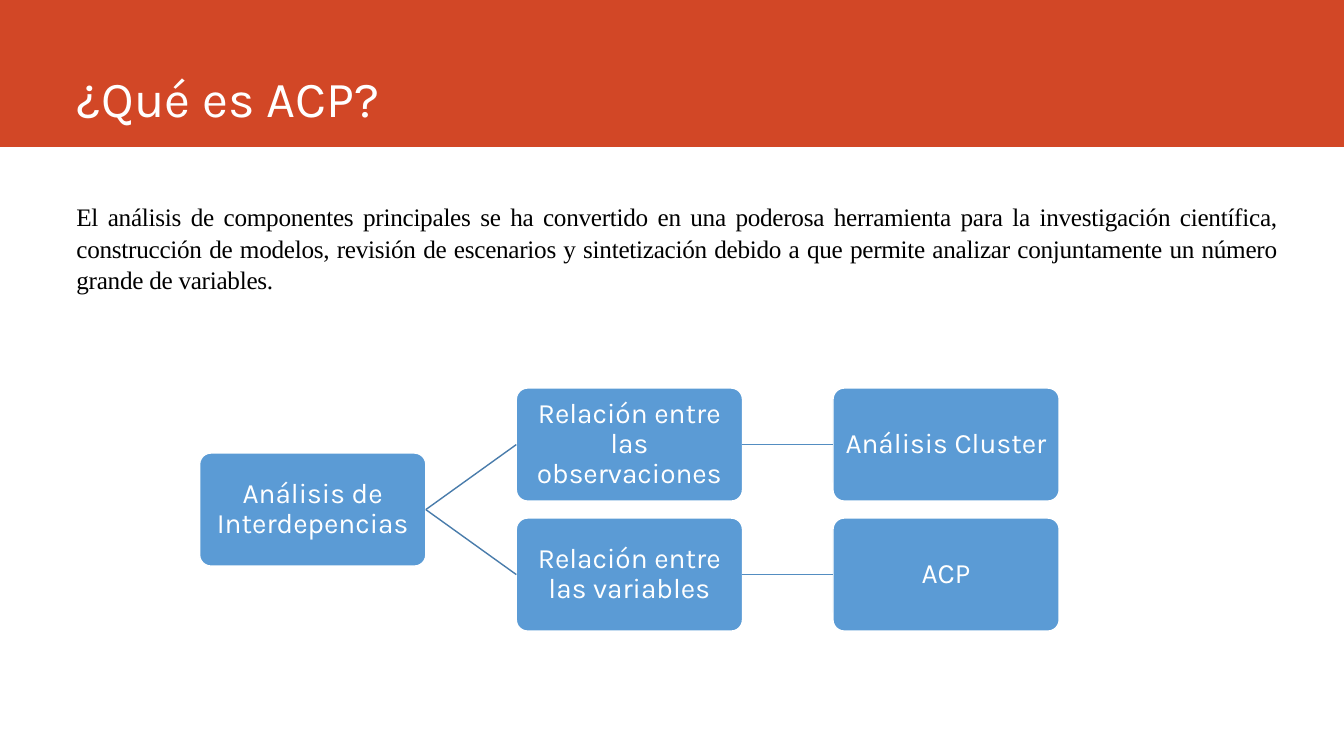
from pptx import Presentation, util as u
from pptx.dml.color import RGBColor
from pptx.enum import shapes, text
from pptx.oxml.ns import qn
from lxml import etree

HUES = {"band": "D24726", "box": "5B9BD5", "white": "FFFFFF",
        "black": "000000", "fork": "497CAB", "link": "538DC1"}
INTRO = ("El análisis de componentes principales se ha convertido en una "
         "poderosa herramienta para la investigación científica, construcción "
         "de modelos, revisión de escenarios y sintetización debido a que "
         "permite analizar conjuntamente un número grande de variables.")
ROOT = "Análisis de Interdepencias"
ROWS = [("Relación entre las observaciones", "Análisis Cluster"),
        ("Relación entre las variables", "ACP")]


def hue(name):
    """Return a named colour."""
    return RGBColor.from_string(HUES[name])


def pts(*nums):
    """Turn numbers into lengths in points."""
    return [u.Pt(n) for n in nums]


def block(slide, kind, box, fill):
    """Add a flat filled shape without a line."""
    shape = slide.shapes.add_shape(kind, *pts(*box))
    shape.shadow.inherit = False
    shape.fill.solid()
    shape.fill.fore_color.rgb = hue(fill)
    shape.line.fill.background()
    return shape


def write(frame, words, size, face, color, align, anchor):
    """Fill a text frame with one styled paragraph and return it."""
    frame.word_wrap = True
    frame.vertical_anchor = anchor
    para = frame.paragraphs[0]
    para.text = words
    para.alignment = align
    font = para.font
    font.size, font.name, font.color.rgb = u.Pt(size), face, hue(color)
    return para


def header(slide, box):
    """Draw the title band with its heading."""
    x, y, w, h = box
    block(slide, shapes.MSO_SHAPE.RECTANGLE, box, "band")
    area = slide.shapes.add_textbox(*pts(x + 47.5, y, w - 113, h - 10))
    write(area.text_frame, "¿Qué es ACP?", 36, "Karla", "white",
          text.PP_ALIGN.LEFT, text.MSO_ANCHOR.BOTTOM)


def intro(slide, box):
    """Write the justified opening paragraph."""
    area = slide.shapes.add_textbox(*pts(*box))
    para = write(area.text_frame, INTRO, 18, "Times New Roman", "black",
                 text.PP_ALIGN.JUSTIFY, text.MSO_ANCHOR.TOP)
    para.line_spacing = 1.05
    para.runs[0].font._element.set("spc", "-20")


def node(slide, words, box):
    """Draw one rounded box of the tree."""
    shape = block(slide, shapes.MSO_SHAPE.ROUNDED_RECTANGLE, box, "box")
    shape.adjustments[0] = 0.1
    shape.line.color.rgb = hue("white")
    shape.line.width = u.Pt(1)
    frame = shape.text_frame
    frame.margin_left = frame.margin_right = u.Pt(0.72)
    frame.margin_top = frame.margin_bottom = u.Pt(0.72)
    para = write(frame, words, 20, "Karla", "white",
                 text.PP_ALIGN.CENTER, text.MSO_ANCHOR.MIDDLE)
    para.line_spacing = 0.9
    return shape


def join(slide, start, end, color):
    """Link the right side of one box to the left side of another."""
    line = slide.shapes.add_connector(shapes.MSO_CONNECTOR.STRAIGHT, 0, 0, 0, 0)
    line.begin_connect(start, 3)
    line.end_connect(end, 1)
    line.line.color.rgb = hue(color)
    line.line.width = u.Pt(1)
    etree.SubElement(line._element.spPr, qn("a:effectLst"))


def tree(slide, box):
    """Lay out the root and its two branches from left to right."""
    x, y, w, h = box
    wide = w / 3.8  # three boxes and two gaps of 0.4 box
    high = h / 2.15  # two boxes and one gap of 0.15 box
    root = node(slide, ROOT, (x, y + (h - high) / 2, wide, high))
    for row, (kind, method) in enumerate(ROWS):
        top = y + row * high * 1.15
        mid, leaf = [node(slide, words, (x + col * wide * 1.4, top, wide, high))
                     for col, words in enumerate((kind, method), 1)]
        join(slide, root, mid, "fork")
        join(slide, mid, leaf, "link")


def main():
    """Build and save the slide."""
    deck = Presentation()
    deck.slide_width, deck.slide_height = pts(960, 540)
    slide = deck.slides.add_slide(deck.slide_layouts[6])
    header(slide, (0, 0, 960, 105))
    intro(slide, (47.5, 139, 872, 72.7))
    tree(slide, (142.6, 277.2, 614, 173.6))
    deck.save("out.pptx")


main()
